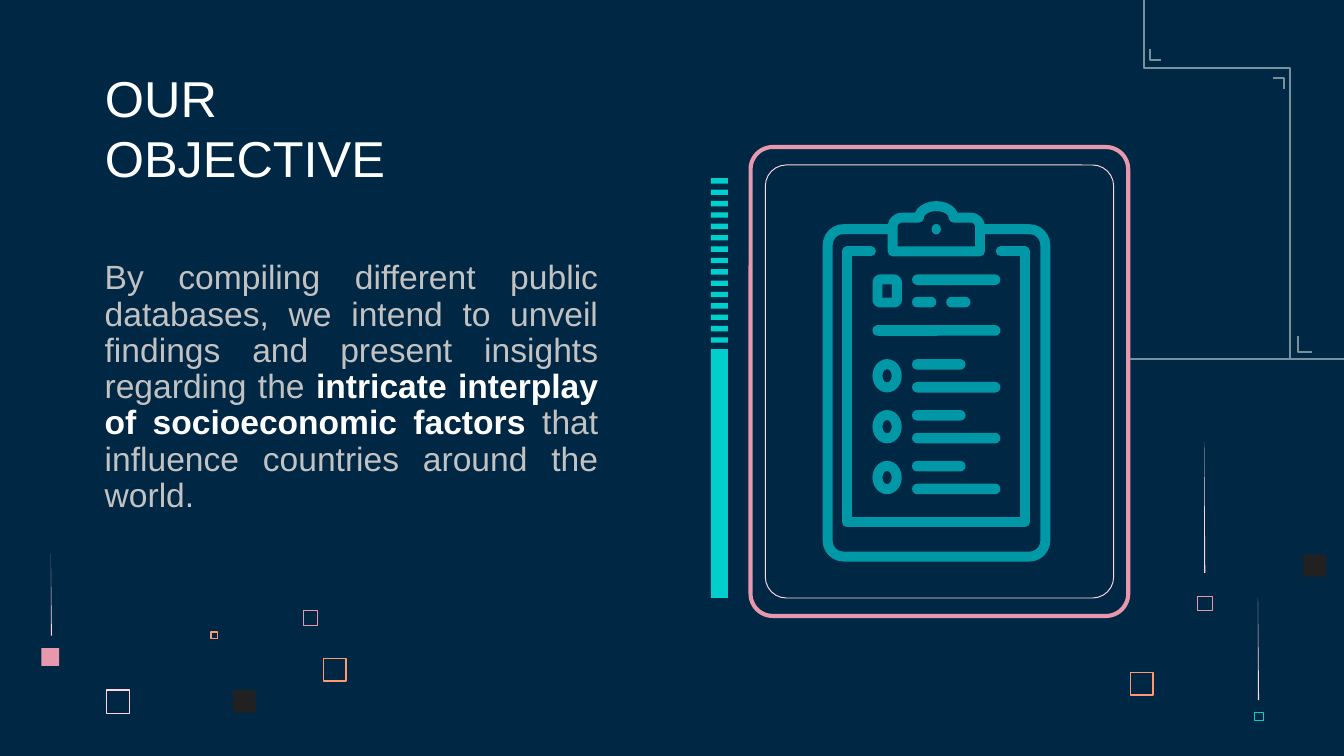
from math import cos, sin, pi
from pptx import Presentation
from pptx.dml.color import RGBColor
from pptx.enum.shapes import MSO_SHAPE as SHAPE
from pptx.enum.text import MSO_ANCHOR, MSO_AUTO_SIZE, PP_ALIGN
from pptx.util import Pt

COLORS = {
    "navy": "002845", "white": "FFFFFF", "grey": "C2C2C2", "pink": "E898AC",
    "blush": "FFD6E1", "orange": "FF9973", "black": "212121",
    "cyan": "00CFCC", "teal": "0097A7", "steel": "78909C",
}

# Content
TITLE = "OUR OBJECTIVE"
BODY = [  # text, bold, colour
    ("By compiling different public databases, we intend to unveil findings "
     "and present insights regarding the ", False, "grey"),
    ("intricate interplay of socioeconomic factors", True, "white"),
    (" that influence countries around the world.", False, "grey"),
]

# Decoration: left, top, size, colour (and line width)
HOLLOW_SQUARES = [
    (57.1, 369.8, 12.4, "blush", 0.9), (162.5, 327.3, 7.8, "pink", 0.6),
    (113.1, 338.6, 3.4, "orange", 0.7), (173.2, 352.7, 12.2, "orange", 0.7),
    (605.6, 360.2, 12.2, "orange", 0.7), (641.6, 319.4, 7.9, "pink", 0.5),
    (672.1, 381.7, 4.6, "cyan", 0.5),
]
SOLID_SQUARES = [(124.8, 369.6, 12.2, "black"), (698.3, 297, 12, "black"),
                 (22.1, 347.2, 9.6, "pink")]
TRAILS = [(645.1, 236.9, 70), (27.2, 296.6, 43.9), (673.9, 320.4, 54.7)]
TRACES = [
    [(605.5, 192.3), (720, 192.3)],
    [(613, 0), (613, 36.4), (691, 36.4), (691, 192.3)],
    [(695.3, 180), (695.3, 188.6), (703, 188.6)],
    [(682, 41.6), (687.8, 41.6), (687.8, 47.8)],
    [(616, 26), (616, 32.2), (622, 32.2)],
]

# Clipboard, row by row
BAR_X, BAR_H, RING_X = 488.6, 5.7, 467.4
LONG, SHORT = 47.3, 28.7
HEADER_BARS = [(BAR_X, 147, LONG), (BAR_X, 159, 13), (506.9, 159, 13),
               (RING_X, 174.2, 68.6)]
ROW_TOP, ROW_STEP, ROWS = 192.4, 27.25, 3
STROKE = 5.3

prs = Presentation()
prs.slide_width, prs.slide_height = Pt(720), Pt(405)
s = prs.slides.add_slide(prs.slide_layouts[5])


def rgb(name):
    return RGBColor.from_string(COLORS[name])


def paint(sp, fill=None, line=None, width=1):
    sp.shadow.inherit = False
    if fill:
        sp.fill.solid()
        sp.fill.fore_color.rgb = rgb(fill)
    else:
        sp.fill.background()
    if line:
        sp.line.color.rgb = rgb(line)
        sp.line.width = Pt(width)
    else:
        sp.line.fill.background()
    return sp


def preset(kind, x, y, w, h, **style):
    sp = s.shapes.add_shape(kind, Pt(x), Pt(y), Pt(w), Pt(h))
    return paint(sp, **style)


def rounded(x, y, w, h, radius, **style):
    sp = preset(SHAPE.ROUNDED_RECTANGLE, x, y, w, h, **style)
    sp.adjustments[0] = radius / min(w, h)


def outline(points, closed=False, **style):
    pts = [(Pt(x), Pt(y)) for x, y in points]
    fb = s.shapes.build_freeform(*pts[0])
    fb.add_line_segments(pts[1:], close=closed)
    return paint(fb.convert_to_shape(), **style)


def arc(cx, cy, rx, ry, start, end, steps=12):
    angles = [(start + (end - start) * i / steps) * pi / 180
              for i in range(steps + 1)]
    return [(cx + rx * cos(a), cy - ry * sin(a)) for a in angles]


def frame_text(tf, anchor):
    tf.word_wrap = True
    tf.auto_size = MSO_AUTO_SIZE.NONE
    tf.vertical_anchor = anchor
    tf.margin_left = tf.margin_right = tf.margin_top = tf.margin_bottom = Pt(7.2)
    return tf.paragraphs[0]


# Background
s.background.fill.solid()
s.background.fill.fore_color.rgb = rgb("navy")

# Scattered squares and trails
for x, y, size, color, width in HOLLOW_SQUARES:
    preset(SHAPE.RECTANGLE, x, y, size, size, line=color, width=width)
for x, y, size, color in SOLID_SQUARES:
    preset(SHAPE.RECTANGLE, x, y, size, size, fill=color)
for x, y, h in TRAILS:
    preset(SHAPE.RIGHT_TRIANGLE, x, y, 0.6, h, fill="blush")

# Title
title = s.shapes.title
title.left, title.top, title.width, title.height = Pt(49), Pt(32.4), Pt(211.7), Pt(75.6)
title.text_frame.text = TITLE
p = frame_text(title.text_frame, MSO_ANCHOR.BOTTOM)
p.alignment = PP_ALIGN.LEFT
p.font.name, p.font.size, p.font.color.rgb = "Arial", Pt(27), rgb("white")

# Body text
body = s.shapes.add_textbox(Pt(49), Pt(132.5), Pt(278.6), Pt(164.9))
p = frame_text(body.text_frame, MSO_ANCHOR.TOP)
p.alignment, p.line_spacing = PP_ALIGN.JUSTIFY, 0.9
p.font.name, p.font.size = "Arial", Pt(18)
for text, bold, color in BODY:
    r = p.add_run()
    r.text = text
    r.font.bold, r.font.color.rgb = bold, rgb(color)

# Double frame
rounded(402.1, 78.8, 202.3, 251.2, 11.9, line="pink", width=2.2)
rounded(410, 88.4, 186.6, 232, 11.3, line="blush", width=0.5)

# Striped gauge
for i in range(15):
    preset(SHAPE.RECTANGLE, 380.9, 95.5 + 6.09 * i, 9.1, 2.9, fill="cyan")
preset(SHAPE.RECTANGLE, 380.9, 187, 9.1, 133.4, fill="cyan")

# Circuit traces
for points in TRACES:
    outline(points, line="steel", width=1.1)

# Clipboard board, paper and clip
teal = dict(line="teal", width=STROKE)
rounded(443.4, 122.8, 116.6, 175.4, 8.5, **teal)
paper = outline([(466.6, 134.7), (453.8, 134.7), (453.8, 279.9),
                 (548.9, 279.9), (548.9, 134.7), (536.1, 134.7)], **teal)
paper.line._get_or_add_ln().set("cap", "rnd")
clip = ([(478.2, 134.7)] + arc(483.2, 121.6, 5, 5, 180, 90)
        + arc(501.6, 116.6, 9.3, 6.2, 180, 0)
        + arc(520, 121.6, 5, 5, 90, 0) + [(525, 134.7)])
outline(clip, closed=True, fill="navy", **teal)
preset(SHAPE.OVAL, 499.1, 120, 5, 5.6, fill="teal")

# Clipboard rows
rounded(470.1, 149.7, 10.4, 12.4, 1.5, **teal)
bars = list(HEADER_BARS)
for i in range(ROWS):
    y = ROW_TOP + ROW_STEP * i
    ring = preset(SHAPE.DONUT, RING_X, y, 15.7, 17.9, fill="teal")
    ring.adjustments[0] = 0.34
    bars += [(BAR_X, y, SHORT), (BAR_X, y + 12.2, LONG)]
for x, y, w in bars:
    rounded(x, y, w, BAR_H, BAR_H / 2, fill="teal")

prs.save("out.pptx")
